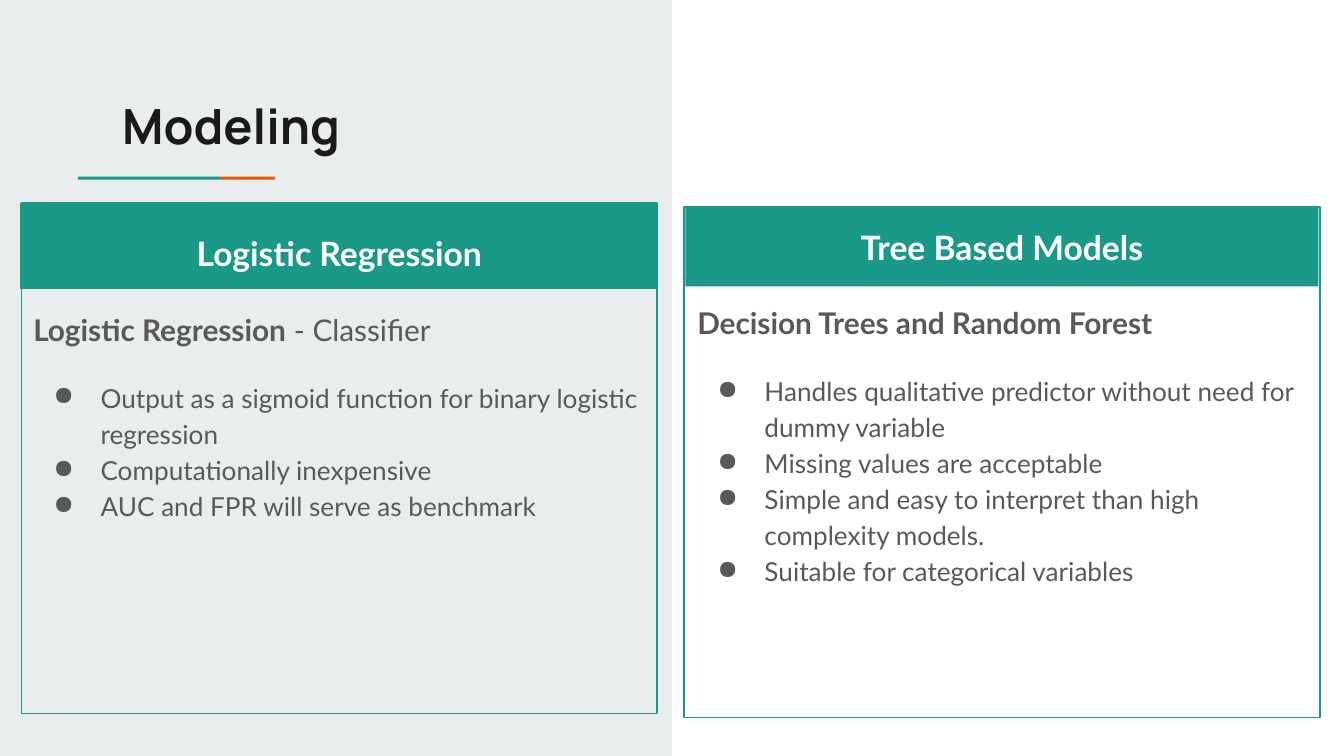
"""Builds the Modeling slide, with two panels that compare model families."""
from lxml.etree import SubElement
from pptx import Presentation
from pptx.dml.color import RGBColor
from pptx.enum.shapes import MSO_SHAPE as Shape
from pptx.enum.text import MSO_ANCHOR as Anchor, PP_ALIGN as Align
from pptx.oxml.ns import qn
from pptx.util import Pt

COLORS = {
    "white": "FFFFFF",
    "mist": "E9EDEE",
    "teal": "1A9988",
    "orange": "EB5600",
    "ink": "1A1A1A",
    "gray": "595959",
}
PANEL_SIZE = (340.6, 273.6)
PANELS = [
    {
        "frame": (11.5, 108.7),
        "header": (10.8, 108.7, 340.6, 46.1),
        "title_box": (33.1, 114.5, 297.4, 36),
        "title": "Logistic Regression",
        "body_box": (10.8, 157, 340.6, 203.8),
        "lead": [("Logistic Regression", True), (" - Classifier", False)],
        "bullets": [
            "Output as a sigmoid function for binary logistic regression",
            "Computationally inexpensive",
            "AUC and FPR will serve as benchmark",
        ],
    },
    {
        "frame": (366.5, 110.9),
        "header": (367.2, 110.9, 339.1, 42.5),
        "title_box": (367.2, 110.9, 339.1, 42.5),
        "title": "Tree Based Models",
        "body_box": (366.5, 153.4, 340.6, 231.1),
        "lead": [("Decision Trees and Random Forest", True)],
        "bullets": [
            "Handles qualitative predictor without need for dummy variable",
            "Missing values are acceptable",
            "Simple and easy to interpret than high complexity models.",
            "Suitable for categorical variables",
        ],
    },
]


def color(name):
    """Return the named color."""
    return RGBColor.from_string(COLORS[name])


def add_rectangle(slide, box, fill=None, line=None):
    """Add a rectangle with an optional fill and thin outline."""
    shape = slide.shapes.add_shape(Shape.RECTANGLE, *map(Pt, box))
    shape.shadow.inherit = False
    if fill:
        shape.fill.solid()
        shape.fill.fore_color.rgb = color(fill)
    else:
        shape.fill.background()
    if line:
        shape.line.color.rgb = color(line)
        shape.line.width = Pt(0.75)
    else:
        shape.line.fill.background()


def add_text_frame(slide, box, anchor=Anchor.TOP):
    """Add a wrapping text box and return its text frame."""
    frame = slide.shapes.add_textbox(*map(Pt, box)).text_frame
    frame.word_wrap = True
    frame.vertical_anchor = anchor
    frame.margin_left = frame.margin_right = Pt(7.2)
    frame.margin_top = frame.margin_bottom = Pt(7.2)
    return frame


def add_run(paragraph, text, size, color_name, bold=False, font="Lato"):
    """Add a styled run to a paragraph."""
    run = paragraph.add_run()
    run.text = text
    run.font.name = font
    run.font.size = Pt(size)
    run.font.bold = bold
    run.font.color.rgb = color(color_name)


def add_bullet(paragraph):
    """Give a paragraph a hanging round bullet."""
    properties = paragraph._p.get_or_add_pPr()
    properties.set("marL", str(Pt(36)))
    properties.set("indent", str(Pt(-25.2)))
    bullet_color = SubElement(properties, qn("a:buClr"))
    SubElement(bullet_color, qn("a:srgbClr"), val=COLORS["gray"])
    SubElement(properties, qn("a:buChar"), char="●")


def add_panel(slide, panel):
    """Add a framed panel with its header, lead line and bullets."""
    add_rectangle(slide, panel["frame"] + PANEL_SIZE, line="teal")
    add_rectangle(slide, panel["header"], fill="teal")
    heading = add_text_frame(slide, panel["title_box"]).paragraphs[0]
    heading.alignment = Align.CENTER
    heading.line_spacing = 1.15
    add_run(heading, panel["title"], 18, "white", bold=True)

    body = add_text_frame(slide, panel["body_box"])
    lead = body.paragraphs[0]
    lead.line_spacing = 1.15
    for text, bold in panel["lead"]:
        add_run(lead, text, 16, "gray", bold)
    for index, text in enumerate(panel["bullets"]):
        paragraph = body.add_paragraph()
        add_bullet(paragraph)
        paragraph.line_spacing = 1.15
        paragraph.space_before = Pt(0 if index else 16)
        add_run(paragraph, text, 14, "gray")


def main():
    """Build and save the slide."""
    presentation = Presentation()
    presentation.slide_width = Pt(720)
    presentation.slide_height = Pt(405)
    slide = presentation.slides.add_slide(presentation.slide_layouts[6])
    add_rectangle(slide, (0, 0, 360, 405), fill="mist")
    add_rectangle(slide, (41.8, 94.7, 76.6, 1.6), fill="teal")
    add_rectangle(slide, (118.4, 94.7, 29, 1.6), fill="orange")
    title = add_text_frame(slide, (58.3, 43.9, 288.7, 46.1), Anchor.MIDDLE)
    add_run(title.paragraphs[0], "Modeling", 26, "ink", True, "Manrope")
    for panel in PANELS:
        add_panel(slide, panel)
    presentation.save("out.pptx")


if __name__ == "__main__":
    main()
